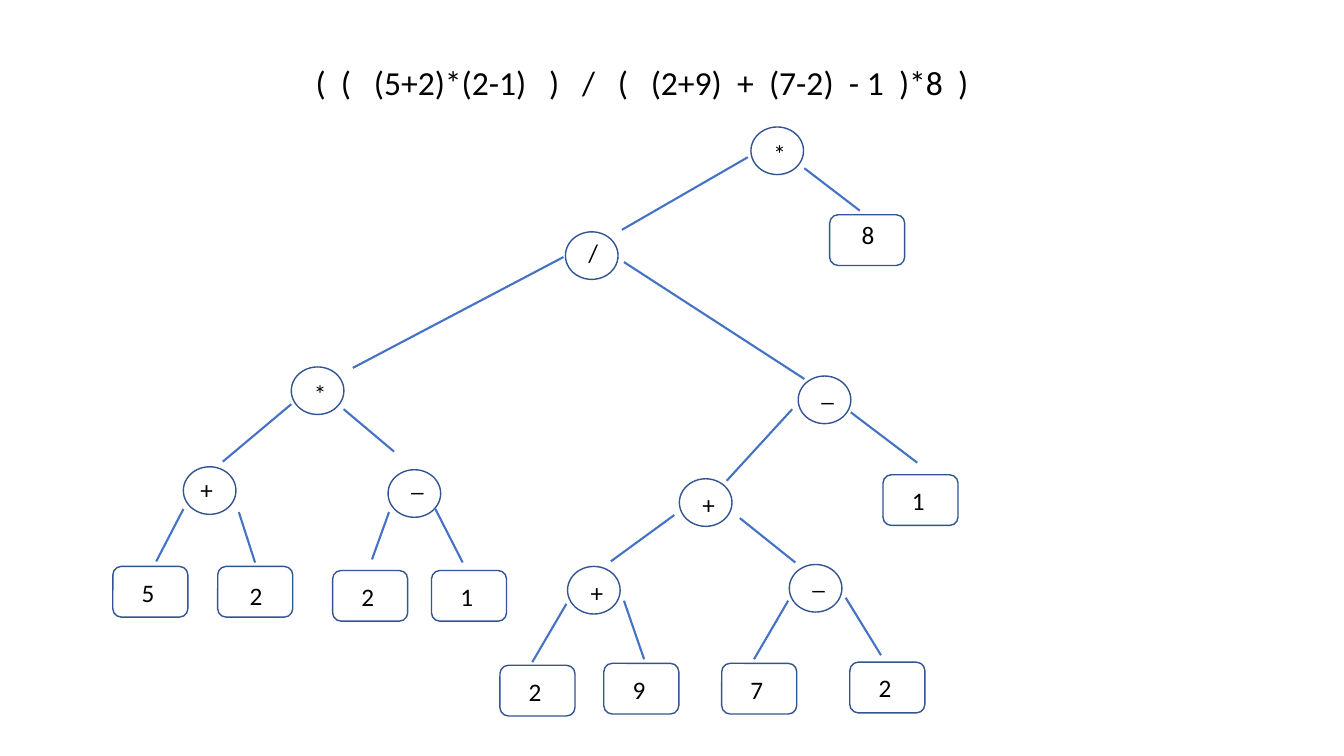
from pptx import Presentation
from pptx.dml.color import RGBColor
from pptx.enum.shapes import MSO_CONNECTOR, MSO_SHAPE
from pptx.enum.text import MSO_ANCHOR, MSO_AUTO_SIZE, PP_ALIGN
from pptx.oxml.xmlchemy import OxmlElement
from pptx.util import Pt

COLORS = {"text": "000000", "outline": "325491", "branch": "4472C4"}
FONT = "Calibri"
SPACE_WIDTH = 5.42  # one space at the formula size

# Formula: each part with the width of the gap after it, in spaces
FORMULA = [
    ("(", 2), ("(", 3), ("(5+2)*(2-1)", 3), (")", 3), ("/", 3), ("(", 3),
    ("(2+9)", 2), ("+", 2), ("(7-2)", 2), ("-", 1), ("1", 2), (")*8", 2), (")", 0),
]

# Operators: symbol, left, top and, where it differs, the label offset
OPERATORS = [
    ("*", 536.4, 90.7), ("/", 403.9, 165.6, (9.4, 0)),
    ("*", 208.1, 262.1), ("_", 570.2, 268.6),
    ("+", 131, 333.4, (5, 2.2)), ("_", 277.2, 335.5, (9.4, -5.8)),
    ("+", 485.3, 342), ("+", 405.4, 404.6), ("_", 563.8, 403.2),
]
OPERATOR_OFFSETS = {"*": (9, 4.3), "+": (9.4, 4.3), "_": (9.4, -3.6)}

# Operands: digit, left, top and, where it differs, the label offset
OPERANDS = [
    ("8", 592.6, 153.4, (15.8, 0)), ("1", 630.7, 339.1),
    ("5", 80.6, 404.6), ("2", 155.5, 404.6, (15.8, 6.5)),
    ("2", 237.6, 407.5), ("1", 308.2, 407.5),
    ("2", 357.1, 475.2), ("9", 431.3, 473.8),
    ("7", 515.5, 473.8), ("2", 607, 473),
]
OPERAND_OFFSET = (13.5, 4)

# Branches: start x, start y, end x, end y
BRANCHES = [
    (534.2, 112.3, 444.2, 164.2), (574.6, 120.2, 614.2, 150.5),
    (402.5, 183.6, 252, 262.8), (445.7, 187.2, 574.6, 270.7),
    (208.1, 288.7, 159.1, 329.8), (245.5, 292.3, 281.5, 322.6),
    (565.9, 292.3, 519.1, 343.4), (607.7, 294.5, 655.2, 330.5),
    (131, 363.6, 111.6, 401), (170.6, 365.8, 182.2, 401.8),
    (277.9, 365.8, 265.7, 399.6), (311, 363.6, 330.5, 401.8),
    (481.7, 367.9, 436.3, 401), (528.5, 370.1, 568.1, 401.8),
    (404.6, 431.3, 380.2, 473), (445.7, 429.1, 460.1, 470.9),
    (563, 429.1, 538.6, 470.9), (604.1, 427, 629.3, 468),
]


def set_attributes(target, values):
    for name, value in values.items():
        setattr(target, name, value)


class TreeSlide:
    def __init__(self, slide):
        self.slide = slide
        self.frame_format = {
            "word_wrap": True,
            "auto_size": MSO_AUTO_SIZE.NONE,
            "vertical_anchor": MSO_ANCHOR.TOP,
        }

    def style_line(self, line, color, width):
        line.color.rgb = RGBColor.from_string(COLORS[color])
        line.width = Pt(width)

    def add_run(self, paragraph, text, size):
        run = paragraph.add_run()
        run.text = text
        set_attributes(run.font, {"name": FONT, "size": Pt(size), "bold": False})
        run.font.color.rgb = RGBColor.from_string(COLORS["text"])
        return run

    def formula(self, parts, left, top, width, height):
        title = self.slide.shapes.title
        set_attributes(title, {"left": Pt(left), "top": Pt(top),
                               "width": Pt(width), "height": Pt(height)})
        set_attributes(title.text_frame, self.frame_format)
        paragraph = title.text_frame.paragraphs[0]
        set_attributes(paragraph, {"alignment": PP_ALIGN.LEFT, "line_spacing": 1.0})
        for text, gap in parts:
            self.add_run(paragraph, text, 24)
            if gap:
                space = self.add_run(paragraph, " ", 24)
                spacing = round((gap - 1) * SPACE_WIDTH * 100)
                space._r.get_or_add_rPr().set("spc", str(spacing))

    def label(self, text, left, top):
        box = self.slide.shapes.add_textbox(Pt(left), Pt(top), Pt(28), Pt(29))
        set_attributes(box.text_frame, self.frame_format)
        self.add_run(box.text_frame.paragraphs[0], text, 18)

    def node(self, kind, size, text, left, top, offset):
        width, height = size
        shape = self.slide.shapes.add_shape(kind, Pt(left), Pt(top), Pt(width), Pt(height))
        shape.shadow.inherit = False
        shape.fill.background()
        self.style_line(shape.line, "outline", 1)
        self.label(text, left + offset[0], top + offset[1])

    def operator(self, text, left, top, offset=None):
        offset = offset or OPERATOR_OFFSETS[text]
        self.node(MSO_SHAPE.OVAL, (37.6, 34), text, left, top, offset)

    def operand(self, text, left, top, offset=OPERAND_OFFSET):
        self.node(MSO_SHAPE.ROUNDED_RECTANGLE, (53.6, 36.2), text, left, top, offset)

    def branch(self, *ends):
        connector = self.slide.shapes.add_connector(
            MSO_CONNECTOR.STRAIGHT, *(Pt(end) for end in ends))
        self.style_line(connector.line, "branch", 1.5)
        connector._element.spPr.append(OxmlElement("a:effectLst"))


presentation = Presentation()
set_attributes(presentation, {"slide_width": Pt(960), "slide_height": Pt(540)})
tree = TreeSlide(presentation.slides.add_slide(presentation.slide_layouts[5]))

# Expression above the tree
tree.formula(FORMULA, 218.2, 40.3, 485.3, 36)

# Nodes
for operator in OPERATORS:
    tree.operator(*operator)
for operand in OPERANDS:
    tree.operand(*operand)

# Branches between the nodes
for branch in BRANCHES:
    tree.branch(*branch)

presentation.save("out.pptx")
